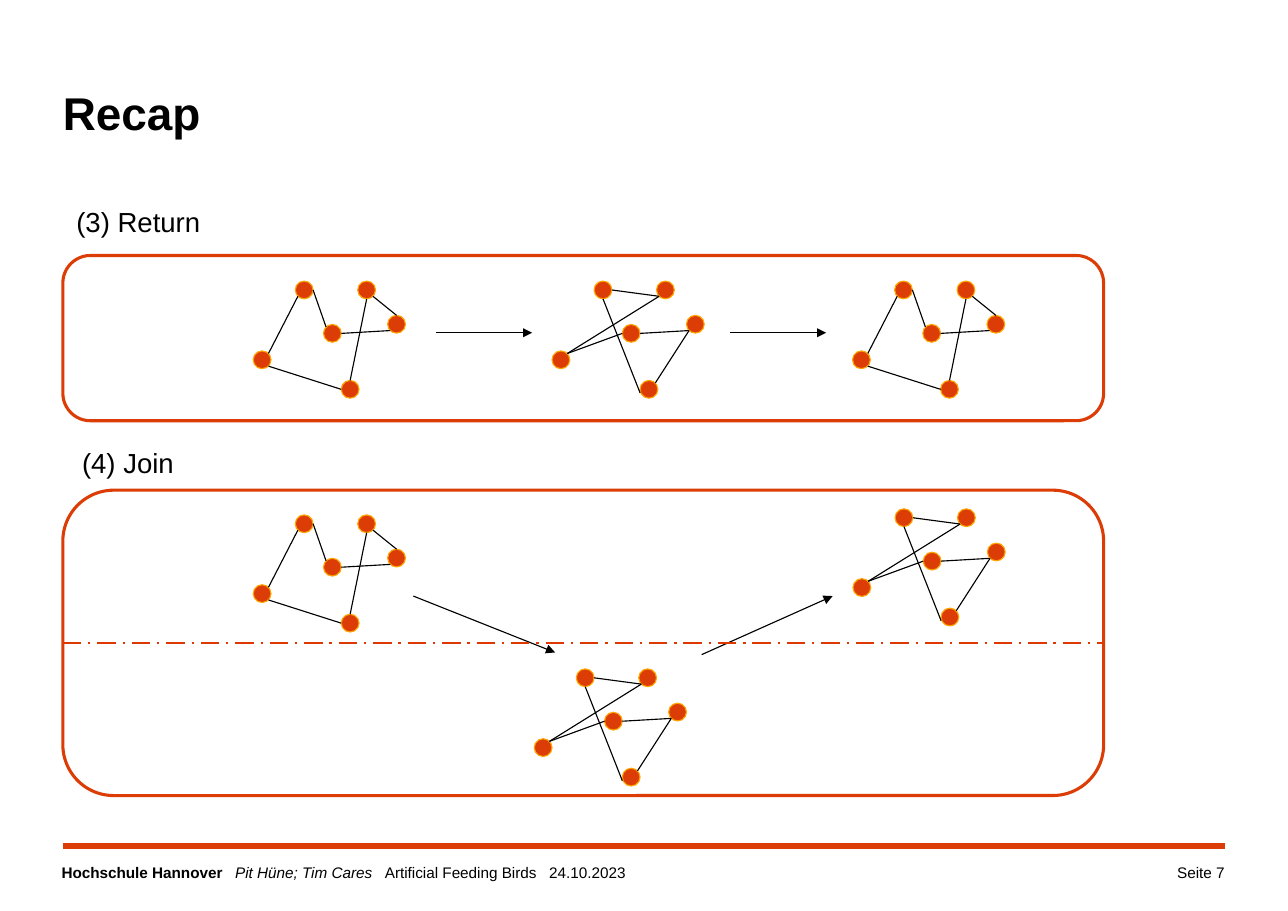
from lxml.etree import SubElement
from pptx import Presentation
from pptx.dml.color import RGBColor
from pptx.enum.dml import MSO_LINE
from pptx.enum.shapes import MSO_CONNECTOR, MSO_SHAPE
from pptx.enum.text import PP_ALIGN
from pptx.oxml.ns import qn
from pptx.util import Cm, Pt

ACCENT, DIVIDER, NODE_RIM, BLACK, WHITE = "DC3C05", "DC3800", "FFA500", "000000", "FFFFFF"
LEFT, RIGHT, PANEL_WIDTH = 1.45, 28.25, 24

# Text boxes: left, top, width, height; runs are (text, style)
TITLE = (LEFT, 1.95, 26.8, 2.64), [("Recap", "bold")]
FOOTER = (1.42, 19.91, 21.44, 0.61), [
    ("Hochschule Hannover   ", "bold"),
    ("Pit Hüne; Tim Cares   ", "italic"),
    ("Artificial Feeding Birds   24.10.2023", ""),
]
PAGE = (24.84, 19.91, 3.4, 0.64), [("Seite 7", "")]
LABELS = [
    ((LEFT, 4.6, 3.48, 1.02), [("(3) Return", "")]),
    ((LEFT, 10.16, 3, 1.02), [("(4) Join", "")]),
]

# Graph: node corners relative to the graph, edges as (node, side, node, side)
NODE_SIZE = 0.41
NODES = {"A": (0.97, 0), "B": (1.62, 1), "C": (2.41, 0),
         "D": (0, 1.61), "E": (3.1, 0.79), "F": (2.03, 2.29)}
SIDES = {"N": (0, -1), "NE": (0.71, -0.71), "E": (1, 0), "SE": (0.71, 0.71),
         "S": (0, 1), "SW": (-0.71, 0.71), "WSW": (-1, 0.4), "W": (-1, 0),
         "NW": (-0.71, -0.71)}
HOME_TOUR = [("D", "NE", "A", "SW"), ("A", "E", "B", "NW"), ("B", "E", "E", "SW"),
             ("C", "SE", "E", "N"), ("C", "S", "F", "N"), ("F", "W", "D", "SE")]
CROSSED_TOUR = [("D", "NE", "C", "SW"), ("C", "SW", "A", "E"), ("F", "WSW", "A", "S"),
                ("F", "NE", "E", "SW"), ("B", "E", "E", "SW"), ("D", "NE", "B", "W")]

# Panels: top, height, graphs (left, top, tour), arrows (start, end)
PANELS = [
    (5.89, 3.81,
     [(5.84, 6.48, HOME_TOUR), (12.73, 6.48, CROSSED_TOUR), (19.66, 6.48, HOME_TOUR)],
     [((10.06, 7.67), (12.27, 7.67)), ((16.84, 7.67), (19.05, 7.67))]),
    (11.3, 7.04,
     [(5.84, 11.87, HOME_TOUR), (12.32, 15.42, CROSSED_TOUR), (19.67, 11.73, CROSSED_TOUR)],
     [((9.53, 13.74), (12.8, 15.04)), ((16.18, 15.09), (19.2, 13.74))]),
]
DIVIDER_Y, FOOTER_LINE_Y = 14.83, 19.51


def rgb(color):
    return RGBColor.from_string(color)


def add_text(slide, content, size, align=PP_ALIGN.LEFT, inset=0.0, wrap=True):
    box, runs = content
    frame = slide.shapes.add_textbox(*map(Cm, box)).text_frame
    frame.word_wrap = wrap
    frame.margin_left = frame.margin_right = Cm(inset)
    frame.margin_top = frame.margin_bottom = Cm(inset / 2)
    paragraph = frame.paragraphs[0]
    paragraph.alignment = align
    for text, style in runs:
        run = paragraph.add_run()
        run.text = text
        font = run.font
        font.name, font.size = "Arial", Pt(size)
        font.bold, font.italic = style == "bold", style == "italic"
        font.color.rgb = rgb(BLACK)


def add_outlined(slide, kind, box, fill, line, width):
    shape = slide.shapes.add_shape(kind, *map(Cm, box))
    shape.shadow.inherit = False
    shape.fill.solid()
    shape.fill.fore_color.rgb = rgb(fill)
    shape.line.color.rgb = rgb(line)
    shape.line.width = Pt(width)


def add_line(slide, start, end, color=BLACK, width=0.75, dash=None, arrow=False):
    connector = slide.shapes.add_connector(MSO_CONNECTOR.STRAIGHT, *map(Cm, start + end))
    connector.line.color.rgb = rgb(color)
    connector.line.width = Pt(width)
    if dash:
        connector.line.dash_style = dash
    properties = connector._element.spPr
    if arrow:
        SubElement(properties.find(qn("a:ln")), qn("a:tailEnd"), type="triangle")
    SubElement(properties, qn("a:effectLst"))


def add_graph(slide, left, top, tour):
    radius = NODE_SIZE / 2

    def edge_end(node, side):
        (x, y), (dx, dy) = NODES[node], SIDES[side]
        return left + x + radius * (1 + dx), top + y + radius * (1 + dy)

    for x, y in NODES.values():
        add_outlined(slide, MSO_SHAPE.OVAL, (left + x, top + y, NODE_SIZE, NODE_SIZE),
                     ACCENT, NODE_RIM, 0.75)
    for first, first_side, second, second_side in tour:
        add_line(slide, edge_end(first, first_side), edge_end(second, second_side))


def main():
    presentation = Presentation()
    presentation.slide_width, presentation.slide_height = Cm(29.7), Cm(21)
    slide = presentation.slides.add_slide(presentation.slide_layouts[6])

    add_text(slide, FOOTER, 10)
    add_line(slide, (LEFT, FOOTER_LINE_Y), (RIGHT, FOOTER_LINE_Y), ACCENT, 4)
    add_text(slide, TITLE, 30)
    add_text(slide, PAGE, 10, PP_ALIGN.RIGHT)

    for top, height, graphs, arrows in PANELS:
        add_outlined(slide, MSO_SHAPE.ROUNDED_RECTANGLE, (LEFT, top, PANEL_WIDTH, height),
                     WHITE, ACCENT, 2)
        for graph in graphs:
            add_graph(slide, *graph)
        for start, end in arrows:
            add_line(slide, start, end, arrow=True)

    add_line(slide, (LEFT, DIVIDER_Y), (LEFT + PANEL_WIDTH, DIVIDER_Y), DIVIDER, 1.5,
             MSO_LINE.LONG_DASH_DOT)
    for label in LABELS:
        add_text(slide, label, 18, PP_ALIGN.CENTER, inset=0.25, wrap=False)

    presentation.save("out.pptx")


if __name__ == "__main__":
    main()
